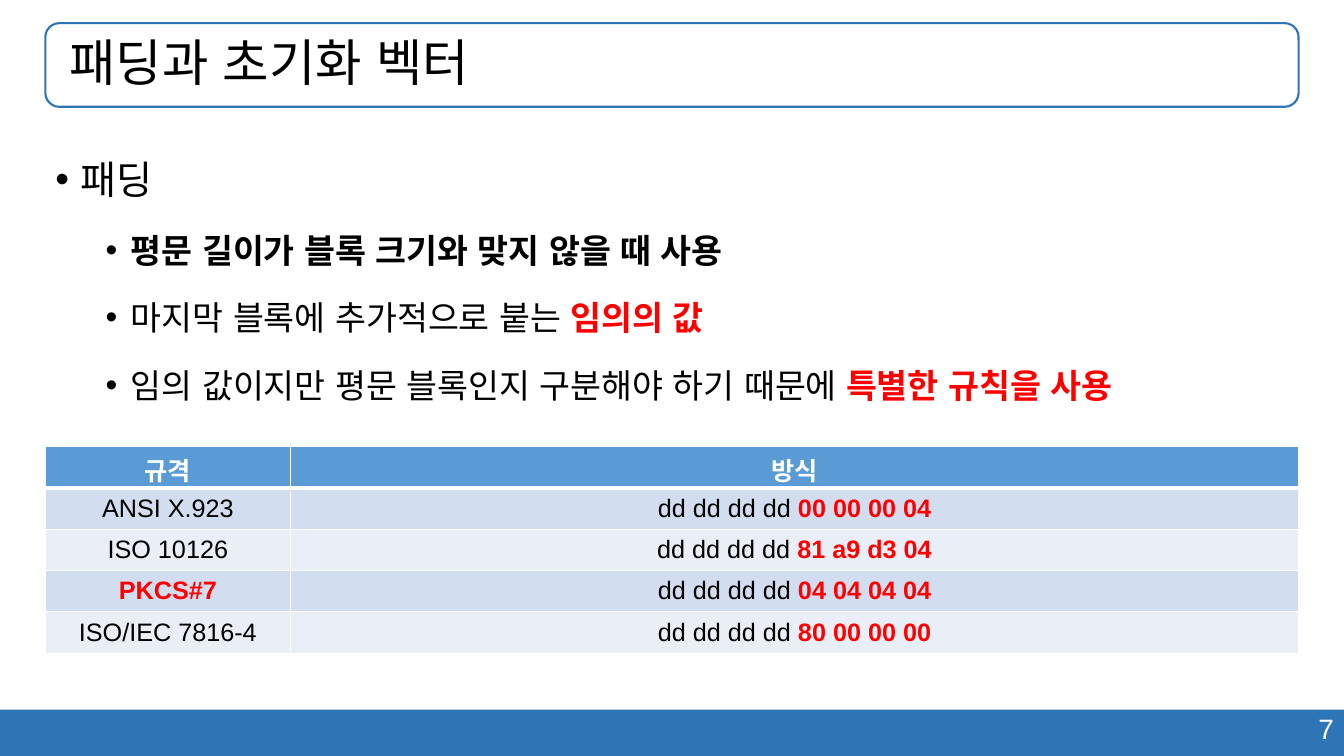
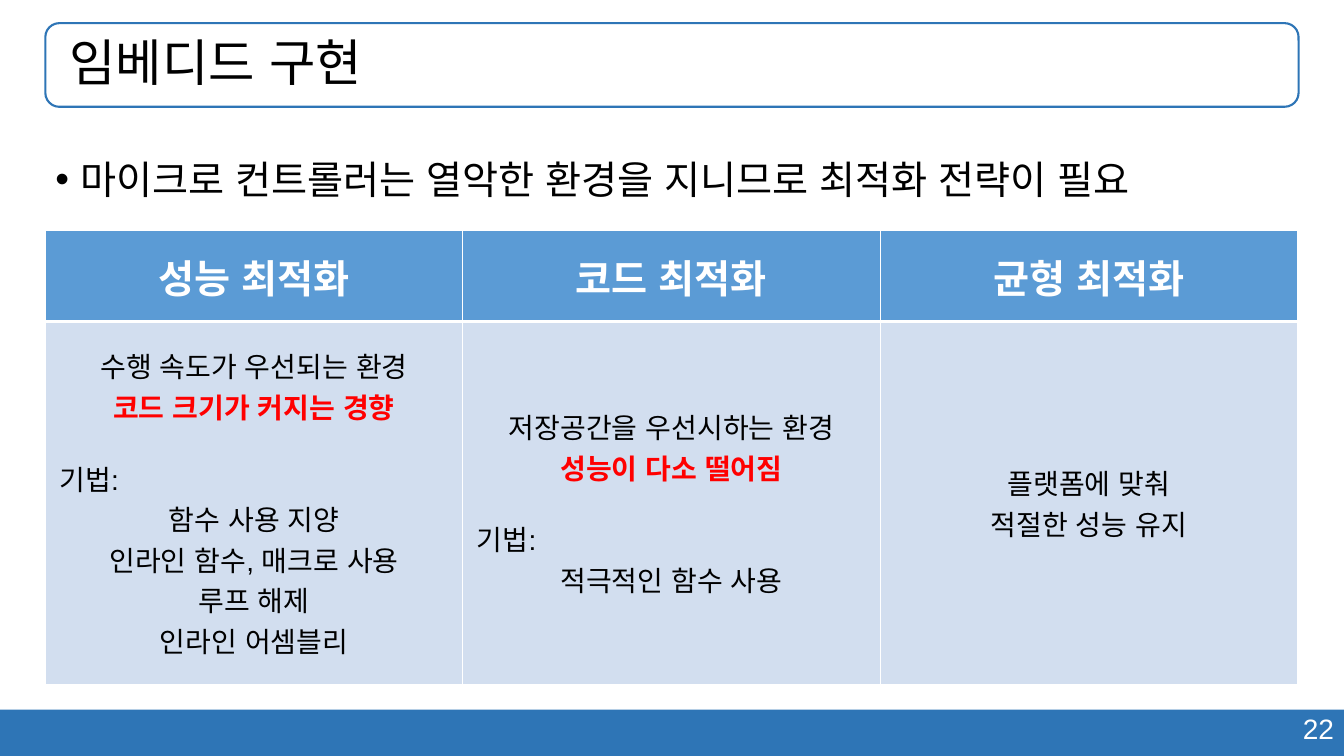
from lxml.etree import SubElement
from pptx import Presentation
from pptx.dml.color import RGBColor
from pptx.enum.lang import MSO_LANGUAGE_ID
from pptx.enum.shapes import MSO_SHAPE
from pptx.enum.text import MSO_ANCHOR, PP_ALIGN
from pptx.oxml.ns import qn
from pptx.util import Inches, Pt

FONT = "Arial"
BLUE = "2E75B6"
HEADER_FILL = "5B9BD5"
BAND_FILLS = ("D2DEEF", "EAEFF7")
WHITE = "FFFFFF"

PLAIN = {"color": "000000", "bold": False}
STRONG = {"color": "000000", "bold": True}
KEY = {"color": "FF0000", "bold": True}
HEADER = {"color": WHITE, "bold": True}
PAGE_NUMBER = {"color": WHITE, "bold": False}

CENTERED = {"alignment": PP_ALIGN.CENTER}
LABEL = {"alignment": PP_ALIGN.LEFT, "space_before": Pt(22)}

SLIDE_WIDTH, SLIDE_HEIGHT = 13.33, 7.5
LEFT, CONTENT_WIDTH = 0.45, 12.43
TITLE_BOX = (LEFT, 0.23, CONTENT_WIDTH, 0.83)


def rgb(hex_color):
    return RGBColor.from_string(hex_color)


def inches(*lengths):
    return [Inches(length) for length in lengths]


def set_attributes(target, values):
    for name, value in values.items():
        setattr(target, name, value)


def add_paragraph(frame, runs, size, settings):
    """Write (text, format) runs into the first empty or a new paragraph."""
    paragraph = frame.add_paragraph() if frame.text else frame.paragraphs[0]
    set_attributes(paragraph, settings)
    for text, style in runs:
        run = paragraph.add_run()
        run.text = text
        set_attributes(run.font, {
            "name": FONT, "size": Pt(size), "bold": style["bold"],
            "language_id": MSO_LANGUAGE_ID.KOREAN,
        })
        run.font.color.rgb = rgb(style["color"])
    return paragraph


def add_bullet(paragraph, indent):
    properties = paragraph._p.get_or_add_pPr()
    properties.set("marL", str(Inches(indent)))
    properties.set("indent", str(Inches(-0.25)))
    SubElement(properties, qn("a:buFont"), typeface=FONT)
    SubElement(properties, qn("a:buChar"), char="•")


def add_box(slide, preset, box, fill=None, line=None):
    shape = slide.shapes.add_shape(preset, *inches(*box))
    shape.shadow.inherit = False
    if fill:
        shape.fill.solid()
        shape.fill.fore_color.rgb = rgb(fill)
    else:
        shape.fill.background()
    if line:
        shape.line.color.rgb = rgb(line)
        shape.line.width = Pt(1.5)
    else:
        shape.line.fill.background()


def add_text_box(slide, box):
    frame = slide.shapes.add_textbox(*inches(*box)).text_frame
    frame.word_wrap = True
    return frame


def add_content_slide(presentation, title, number):
    """Add a slide with the framed title, the bottom band and its number."""
    slide = presentation.slides.add_slide(presentation.slide_layouts[5])
    add_box(slide, MSO_SHAPE.RECTANGLE, (0, 7.04, SLIDE_WIDTH, 0.46), fill=BLUE)
    add_paragraph(add_text_box(slide, (9.43, 7.01, 3.9, 0.44)),
                  [(str(number), PAGE_NUMBER)], 20, {"alignment": PP_ALIGN.RIGHT})
    add_box(slide, MSO_SHAPE.ROUNDED_RECTANGLE, TITLE_BOX, line=BLUE)

    placeholder = slide.shapes.title
    left, top, width, height = inches(*TITLE_BOX)
    set_attributes(placeholder,
                   {"left": left, "top": top, "width": width, "height": height})
    frame = placeholder.text_frame
    set_attributes(frame, {"vertical_anchor": MSO_ANCHOR.MIDDLE,
                           "margin_left": Inches(0.24), "word_wrap": True})
    add_paragraph(frame, [(title, PLAIN)], 36,
                  {"alignment": PP_ALIGN.LEFT, "line_spacing": 0.9})
    return slide


def add_bullets(slide, heading, points=()):
    frame = add_text_box(slide, (LEFT, 1.26, CONTENT_WIDTH, 5.53))
    paragraph = add_paragraph(frame, [(heading, PLAIN)], 28, {"line_spacing": 1.5})
    add_bullet(paragraph, 0.25)
    for runs in points:
        paragraph = add_paragraph(frame, runs, 24, {
            "level": 1, "line_spacing": 1.5, "space_before": Pt(5)})
        add_bullet(paragraph, 0.75)


def set_borders(cell, widths):
    properties = cell._tc.get_or_add_tcPr()
    for side, width in widths.items():
        line = SubElement(properties, qn(f"a:ln{side}"), w=str(Pt(width)))
        fill = SubElement(line, qn("a:solidFill"))
        SubElement(fill, qn("a:srgbClr"), val=WHITE)


def add_grid(slide, top, column_widths, row_heights, rows, sizes, margins):
    """Add a table; each cell is a list of (runs, paragraph settings)."""
    width, height = sum(column_widths), sum(row_heights)
    table = slide.shapes.add_table(len(rows), len(column_widths),
                                   *inches(LEFT, top, width, height)).table
    for column, column_width in zip(table.columns, column_widths):
        column.width = Inches(column_width)
    for row, row_height in zip(table.rows, row_heights):
        row.height = Inches(row_height)

    side, edge = inches(*margins)
    header_size, body_size = sizes
    for row_index, row in enumerate(rows):
        is_header = row_index == 0
        color = HEADER_FILL if is_header else BAND_FILLS[(row_index - 1) % 2]
        borders = {"L": 1, "R": 1, "T": 3 if row_index == 1 else 1,
                   "B": 3 if is_header else 1}
        for column_index, paragraphs in enumerate(row):
            cell = table.cell(row_index, column_index)
            set_attributes(cell, {
                "vertical_anchor": MSO_ANCHOR.MIDDLE,
                "margin_left": side, "margin_right": side,
                "margin_top": edge, "margin_bottom": edge,
            })
            set_borders(cell, borders)
            cell.fill.solid()
            cell.fill.fore_color.rgb = rgb(color)
            for runs, settings in paragraphs:
                add_paragraph(cell.text_frame, runs,
                              header_size if is_header else body_size, settings)


def centered(*runs):
    return list(runs), CENTERED


def header_row(*names):
    return [[centered((name, HEADER))] for name in names]


def strategy_cell(summary, drawback, techniques):
    return [
        centered((summary, PLAIN)),
        centered((drawback, KEY)),
        ([("기법:", PLAIN)], LABEL),
        *(centered((technique, PLAIN)) for technique in techniques),
    ]


def add_padding_slide(presentation):
    slide = add_content_slide(presentation, "패딩과 초기화 벡터", 7)
    add_bullets(slide, "패딩", [
        [("평문 길이가 블록 크기와 맞지 않을 때 사용", STRONG)],
        [("마지막 블록에 추가적으로 붙는 ", PLAIN), ("임의의 값", KEY)],
        [("임의 값이지만 평문 블록인지 구분해야 하기 때문에 ", PLAIN),
         ("특별한 규칙을 사용", KEY)],
    ])
    standards = [
        ("ANSI X.923", PLAIN, "00 00 00 04"),
        ("ISO 10126", PLAIN, "81 a9 d3 04"),
        ("PKCS#7", KEY, "04 04 04 04"),
        ("ISO/IEC 7816-4", PLAIN, "80 00 00 00"),
    ]
    rows = [header_row("규격", "방식")]
    for name, style, padding in standards:
        rows.append([[centered((name, style))],
                     [centered(("dd dd dd dd ", PLAIN), (padding, KEY))]])
    add_grid(slide, 4.43, [2.43, 10], [0.41] * len(rows), rows,
             sizes=(18, 18), margins=(0.1, 0.05))


def add_embedded_slide(presentation):
    slide = add_content_slide(presentation, "임베디드 구현", 22)
    add_bullets(slide, "마이크로 컨트롤러는 열악한 환경을 지니므로 최적화 전략이 필요")
    rows = [
        header_row("성능 최적화", "코드 최적화", "균형 최적화"),
        [
            strategy_cell("수행 속도가 우선되는 환경", "코드 크기가 커지는 경향",
                          ["함수 사용 지양", "인라인 함수, 매크로 사용",
                           "루프 해제", "인라인 어셈블리"]),
            strategy_cell("저장공간을 우선시하는 환경", "성능이 다소 떨어짐",
                          ["적극적인 함수 사용"]),
            [centered(("플랫폼에 맞춰", PLAIN)),
             centered(("적절한 성능 유지", PLAIN))],
        ],
    ]
    add_grid(slide, 2.29, [4.14] * 3, [0.9, 3.6], rows,
             sizes=(28, 20), margins=(0.14, 0.07))


def main():
    presentation = Presentation()
    presentation.slide_width = Inches(SLIDE_WIDTH)
    presentation.slide_height = Inches(SLIDE_HEIGHT)
    add_padding_slide(presentation)
    add_embedded_slide(presentation)
    presentation.save("out.pptx")


if __name__ == "__main__":
    main()
